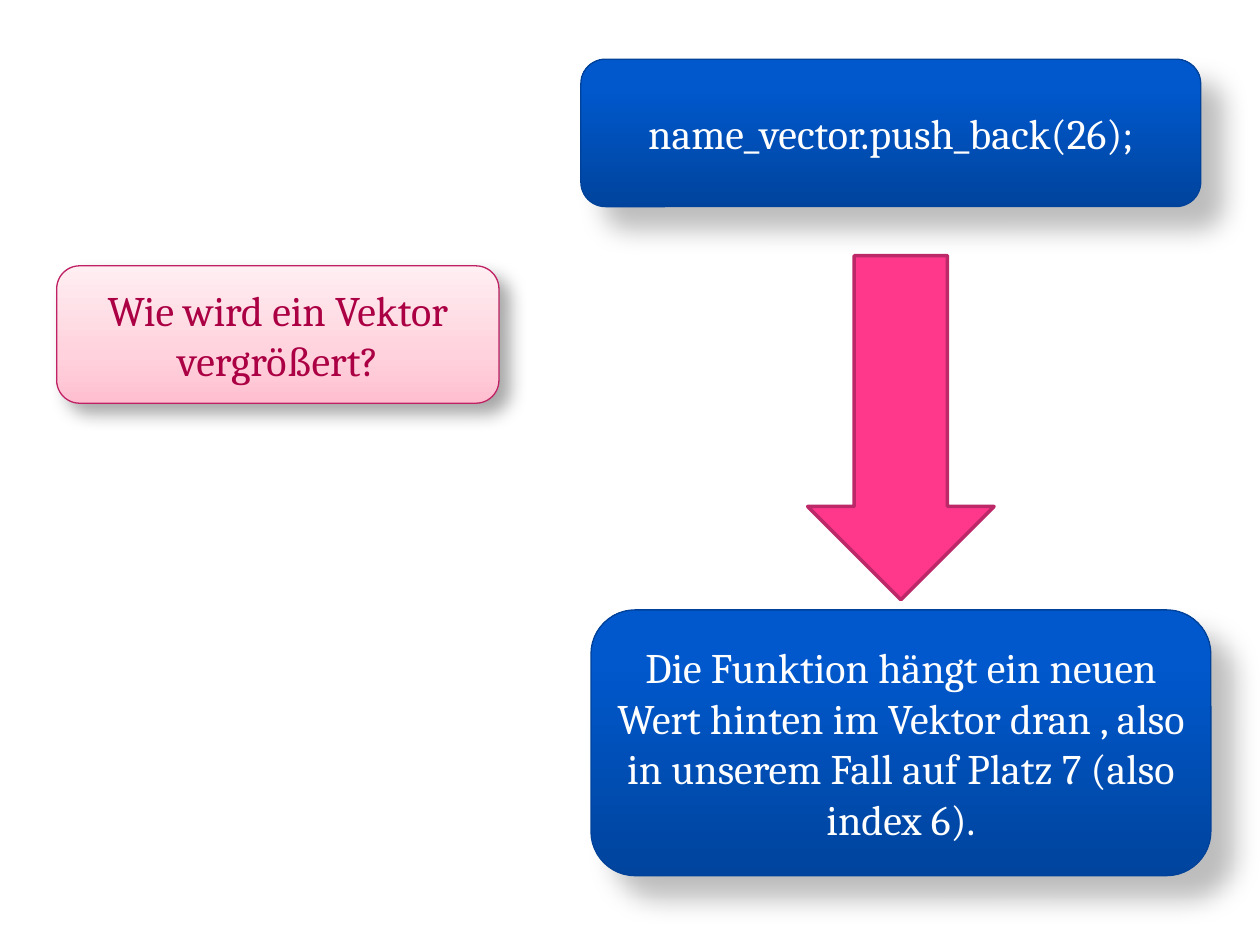
from lxml.etree import SubElement
from pptx import Presentation
from pptx.dml.color import RGBColor
from pptx.enum.shapes import MSO_SHAPE
from pptx.enum.text import MSO_ANCHOR, PP_ALIGN
from pptx.oxml.ns import qn
from pptx.util import Inches, Pt

COLORS = {
    "blue_line": "004299",
    "pink_line": "C02164",
    "white": "FFFFFF",
    "crimson": "AB0043",
    "arrow": "FF388C",
    "arrow_line": "BD2968",
    "shadow": "000000",
}
# Gradient stops run from the bottom edge to the top: (percent, colour)
ANSWER_STYLE = {
    "stops": [(0, "00449D"), (80, "0058CC"), (100, "0059CD")],
    "line": COLORS["blue_line"],
    "text_color": COLORS["white"],
    "shadow": {"alpha": 26, "blur": 15, "distance": 18},
}
QUESTION_STYLE = {
    "stops": [(0, "FFBFD0"), (35, "FFD2DD"), (100, "FFEEF2")],
    "line": COLORS["pink_line"],
    "text_color": COLORS["crimson"],
    "shadow": {"alpha": 35, "blur": 10.2, "distance": 8},
}


def rgb(value):
    return RGBColor.from_string(value)


def add_color(parent, value):
    return SubElement(parent, qn("a:srgbClr"), val=value)


def add_outlined_shape(slide, kind, box, line_color, line_width):
    shape = slide.shapes.add_shape(kind, *(Inches(length) for length in box))
    shape.shadow.inherit = False
    shape.line.color.rgb = rgb(line_color)
    shape.line.width = Pt(line_width)
    return shape


def fill_gradient(shape, stops):
    shape.fill.gradient()
    shape.fill.gradient_angle = 90
    stop_list = next(shape.element.spPr.iter(qn("a:gsLst")))
    for default_stop in list(stop_list):
        stop_list.remove(default_stop)
    for percent, color in stops:
        add_color(SubElement(stop_list, qn("a:gs"), pos=str(percent * 1000)), color)


def cast_shadow(shape, alpha, blur, distance):
    """Throw a soft shadow towards the lower right."""
    effects = shape.element.spPr.find(qn("a:effectLst"))
    outer = SubElement(effects, qn("a:outerShdw"), blurRad=str(Pt(blur)),
                       dist=str(Pt(distance)), dir=str(45 * 60000),
                       algn="tl", rotWithShape="0")
    SubElement(add_color(outer, COLORS["shadow"]), qn("a:alpha"), val=str(alpha * 1000))


def write_text(shape, text, color, size=24, font="Cambria", align=PP_ALIGN.CENTER):
    frame = shape.text_frame
    frame.word_wrap = True
    frame.vertical_anchor = MSO_ANCHOR.MIDDLE
    paragraph = frame.paragraphs[0]
    paragraph.alignment = align
    run = paragraph.add_run()
    run.text = text
    run.font.name = font
    run.font.size = Pt(size)
    run.font.color.rgb = rgb(color)


def add_card(slide, box, text, style):
    card = add_outlined_shape(slide, MSO_SHAPE.ROUNDED_RECTANGLE, box, style["line"], 0.75)
    fill_gradient(card, style["stops"])
    cast_shadow(card, **style["shadow"])
    write_text(card, text, style["text_color"])


def add_down_arrow(slide, box):
    arrow = add_outlined_shape(slide, MSO_SHAPE.DOWN_ARROW, box, COLORS["arrow_line"], 2)
    arrow.fill.solid()
    arrow.fill.fore_color.rgb = rgb(COLORS["arrow"])


def main():
    presentation = Presentation()
    presentation.slide_width = Inches(10)
    presentation.slide_height = Inches(7.5)
    slide = presentation.slides.add_slide(presentation.slide_layouts[6])

    add_card(slide, (4.61, 0.47, 4.92, 1.17), "name_vector.push_back(26);", ANSWER_STYLE)
    add_card(slide, (0.45, 2.11, 3.51, 1.09), "Wie wird ein Vektor vergrößert?", QUESTION_STYLE)
    add_card(slide, (4.69, 4.84, 4.92, 2.11),
             "Die Funktion hängt ein neuen Wert hinten im Vektor dran , "
             "also in unserem Fall auf Platz 7 (also index 6).", ANSWER_STYLE)
    add_down_arrow(slide, (6.41, 2.03, 1.48, 2.73))

    presentation.save("out.pptx")


if __name__ == "__main__":
    main()
